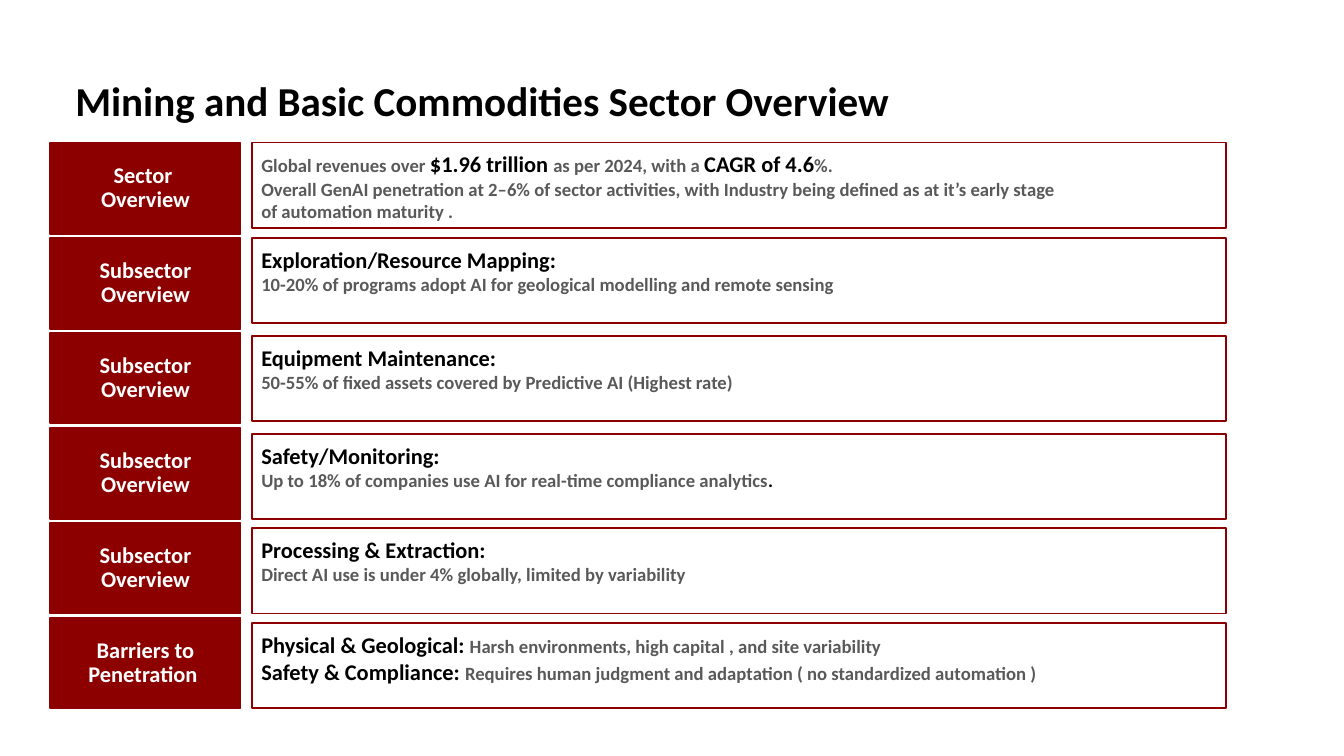
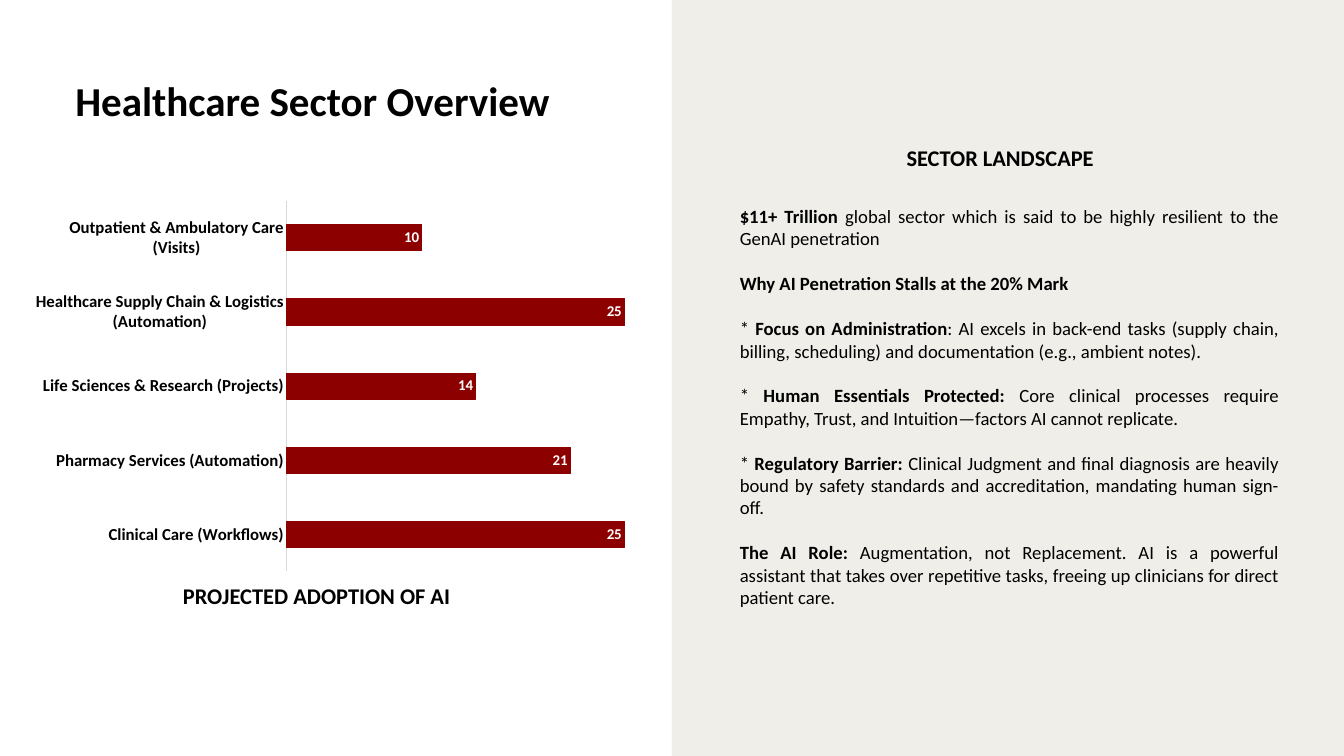
from pptx import Presentation
from pptx.chart.data import CategoryChartData
from pptx.dml.color import RGBColor
from pptx.enum.chart import XL_CHART_TYPE, XL_LABEL_POSITION, XL_TICK_MARK
from pptx.enum.shapes import MSO_SHAPE
from pptx.enum.text import MSO_ANCHOR, MSO_AUTO_SIZE, PP_ALIGN
from pptx.util import Emu, Pt

PX = 9144  # 100 px to the inch
SLIDE_WIDTH, SLIDE_HEIGHT = 2000, 1125
FONT = "Calibri"

MAROON = RGBColor(0x8D, 0x00, 0x00)
PANEL = RGBColor(0xEF, 0xEE, 0xE9)
GREY = RGBColor(0x59, 0x59, 0x59)
AXIS_GREY = RGBColor(0xD9, 0xD9, 0xD9)
BLACK = RGBColor(0x00, 0x00, 0x00)
WHITE = RGBColor(0xFF, 0xFF, 0xFF)

# Text styles: size, colour, bold
TITLE = (44, BLACK, True)
LABEL = (24, WHITE, True)
HEAD = (24, BLACK, True)
NOTE = (20, GREY, True)
STRONG = (20, BLACK, True)
PLAIN = (20, BLACK, False)
CATEGORY = (18, BLACK, True)
VALUE = (16, WHITE, True)


def px(*lengths):
    return [Emu(length * PX) for length in lengths]


def style_font(font, style):
    size, color, bold = style
    font.name, font.size, font.bold = FONT, Pt(size), bold
    font.color.rgb = color


class Deck:
    def __init__(self):
        self.prs = Presentation()
        self.prs.slide_width, self.prs.slide_height = px(SLIDE_WIDTH, SLIDE_HEIGHT)
        self.slide = None

    def new_slide(self, title, width):
        title_only = self.prs.slide_layouts[5]
        self.slide = self.prs.slides.add_slide(title_only)
        heading = self.slide.shapes.title
        heading.left, heading.top, heading.width, heading.height = px(112, 112, width, 74)
        frame = heading.text_frame
        frame.text = title
        frame.auto_size = MSO_AUTO_SIZE.NONE
        frame.vertical_anchor = MSO_ANCHOR.TOP
        self.set_insets(frame, 0)
        frame.paragraphs[0].alignment = PP_ALIGN.LEFT
        style_font(frame.paragraphs[0].runs[0].font, TITLE)

    @staticmethod
    def set_insets(frame, inset):
        frame.margin_left, frame.margin_top, frame.margin_right, frame.margin_bottom = px(*[inset] * 4)

    def rect(self, left, top, width, height, fill=None, line=None):
        box = self.slide.shapes.add_shape(MSO_SHAPE.RECTANGLE, *px(left, top, width, height))
        box.shadow.inherit = False
        if fill is None:
            box.fill.background()
        else:
            box.fill.solid()
            box.fill.fore_color.rgb = fill
        if line is None:
            box.line.fill.background()
        else:
            box.line.color.rgb = line
            box.line.width = Pt(2)
        return box

    def label(self, left, top, width, height, text):
        frame = self.rect(left, top, width, height, MAROON, MAROON).text_frame
        frame.text = text
        frame.word_wrap = True
        frame.vertical_anchor = MSO_ANCHOR.MIDDLE
        self.set_insets(frame, 7)
        paragraph = frame.paragraphs[0]
        paragraph.alignment = PP_ALIGN.CENTER
        paragraph.line_spacing = 0.9
        for run in paragraph.runs:
            style_font(run.font, LABEL)

    def text(self, left, top, width, height, paragraphs, align=PP_ALIGN.LEFT, gap=0, inset=None):
        """Each paragraph is a list of (text, style) pieces."""
        frame = self.slide.shapes.add_textbox(*px(left, top, width, height)).text_frame
        frame.word_wrap = True
        frame.auto_size = MSO_AUTO_SIZE.SHAPE_TO_FIT_TEXT
        if inset is not None:
            self.set_insets(frame, inset)
        for index, pieces in enumerate(paragraphs):
            paragraph = frame.add_paragraph() if index else frame.paragraphs[0]
            paragraph.alignment = align
            if index < len(paragraphs) - 1:
                paragraph.space_after = Pt(gap)
            for words, style in pieces:
                run = paragraph.add_run()
                run.text = words
                style_font(run.font, style)

    def bar_chart(self, left, top, width, height, values, axis_max):
        data = CategoryChartData()
        data.categories = list(values)
        data.add_series("Series 1", list(values.values()))
        chart = self.slide.shapes.add_chart(
            XL_CHART_TYPE.BAR_CLUSTERED, *px(left, top, width, height), data).chart
        chart.has_legend = chart.has_title = False
        chart.font.name, chart.font.size = FONT, Pt(10)
        chart.font.color.rgb = BLACK

        categories = chart.category_axis
        categories.major_tick_mark = categories.minor_tick_mark = XL_TICK_MARK.NONE
        categories.has_major_gridlines = False
        categories.format.line.color.rgb = AXIS_GREY
        categories.format.line.width = Pt(0.75)
        style_font(categories.tick_labels.font, CATEGORY)

        scale = chart.value_axis
        scale.minimum_scale, scale.maximum_scale = 0, axis_max
        scale.has_major_gridlines = False
        scale.visible = False

        plot = chart.plots[0]
        plot.vary_by_categories = False
        plot.gap_width = 182
        bars = plot.series[0].format
        bars.fill.solid()
        bars.fill.fore_color.rgb = MAROON
        bars.line.color.rgb = MAROON
        bars.line.width = Pt(0.75)
        plot.has_data_labels = True
        plot.data_labels.show_value = True
        plot.data_labels.position = XL_LABEL_POSITION.INSIDE_END
        style_font(plot.data_labels.font, VALUE)


# Label, top of the outlined box, paragraphs
SUBSECTOR = "Subsector Overview"
MINING_ROWS = [
    ("Sector \vOverview", 212, [
        [("Global revenues over ", NOTE), ("$1.96 trillion ", HEAD),
         ("as per 2024, with a ", NOTE), ("CAGR of 4.6", HEAD), ("%.", NOTE)],
        [("Overall GenAI penetration at 2–6% of sector activities, with Industry being "
          "defined as at it’s early stage of automation maturity .", NOTE)]]),
    (SUBSECTOR, 354, [
        [("Exploration/Resource Mapping: ", HEAD)],
        [("10-20% of programs adopt AI for geological modelling and remote sensing", NOTE)]]),
    (SUBSECTOR, 500, [
        [("Equipment Maintenance:", HEAD)],
        [("50-55% of fixed assets covered by Predictive AI (Highest rate)", NOTE)]]),
    (SUBSECTOR, 646, [
        [("Safety/Monitoring:", HEAD)],
        [("Up to 18% of companies use AI for real-time compliance analytics", NOTE),
         (".", STRONG)]]),
    (SUBSECTOR, 786, [
        [("Processing & Extraction:", HEAD)],
        [("Direct AI use is under 4% globally, limited by variability", NOTE)]]),
    ("Barriers to Penetration ", 927, [
        [("Physical & Geological: ", HEAD),
         ("Harsh environments, high capital , and site variability", NOTE)],
        [("Safety & Compliance: ", HEAD),
         ("Requires human judgment and adaptation ( no standardized automation )", NOTE)]]),
]

AI_ADOPTION = {
    "Clinical Care (Workflows)": 25,
    "Pharmacy Services (Automation)": 21,
    "Life Sciences & Research (Projects)": 14,
    "Healthcare Supply Chain & Logistics (Automation)": 25,
    "Outpatient & Ambulatory Care (Visits)": 10,
}

LANDSCAPE = [
    [("$11+ Trillion ", STRONG),
     ("global sector which is said to be highly resilient to the GenAI penetration ", PLAIN)],
    [("Why AI Penetration Stalls at the 20% Mark ", STRONG)],
    [("* ", PLAIN), ("Focus on Administration", STRONG),
     (": AI excels in back-end tasks (supply chain, billing, scheduling) and "
      "documentation (e.g., ambient notes).", PLAIN)],
    [("* ", PLAIN), ("Human Essentials Protected:", STRONG),
     (" Core clinical processes require Empathy, Trust, and Intuition—factors AI "
      "cannot replicate.", PLAIN)],
    [("* ", PLAIN), ("Regulatory Barrier:", STRONG),
     (" Clinical Judgment and final diagnosis are heavily bound by safety standards and "
      "accreditation, mandating human sign-off.", PLAIN)],
    [("The AI Role:", STRONG),
     (" Augmentation, not Replacement. AI is a powerful assistant that takes over "
      "repetitive tasks, freeing up clinicians for direct patient care.", PLAIN)],
]


def mining_slide(deck):
    deck.new_slide("Mining and Basic Commodities Sector Overview", 1331)
    for row, (label, box_top, paragraphs) in enumerate(MINING_ROWS):
        deck.label(75, 213 + round(row * 141.2), 283, 135, label)
        deck.rect(375, box_top, 1449, 127, line=MAROON)
        deck.text(379, box_top + 7, 1213, 84, paragraphs)


def healthcare_slide(deck):
    deck.new_slide("Healthcare Sector Overview", 1279)
    deck.rect(1000, 0, 1000, SLIDE_HEIGHT, fill=PANEL)
    # Adoption chart
    deck.bar_chart(33, 287, 1017, 575, AI_ADOPTION, axis_max=30)
    deck.text(210, 862, 522, 50, [[("PROJECTED ADOPTION OF AI", HEAD)]], PP_ALIGN.CENTER)
    # Sector landscape
    deck.text(1349, 215, 295, 40, [[("SECTOR LANDSCAPE", HEAD)]], inset=0)
    deck.text(1091, 300, 822, 650, LANDSCAPE, PP_ALIGN.JUSTIFY, gap=24)


def main():
    deck = Deck()
    mining_slide(deck)
    healthcare_slide(deck)
    deck.prs.save("out.pptx")


if __name__ == "__main__":
    main()
